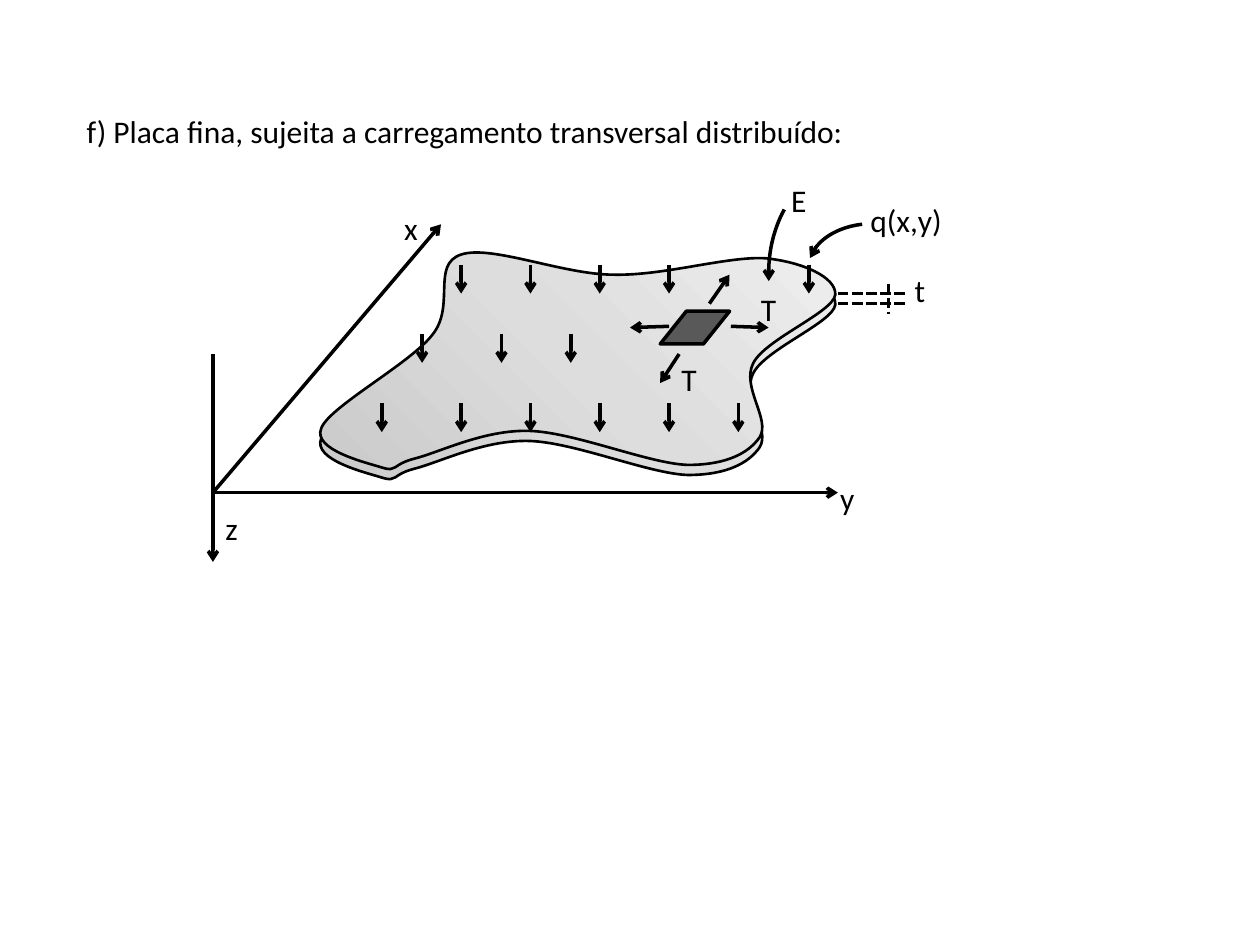
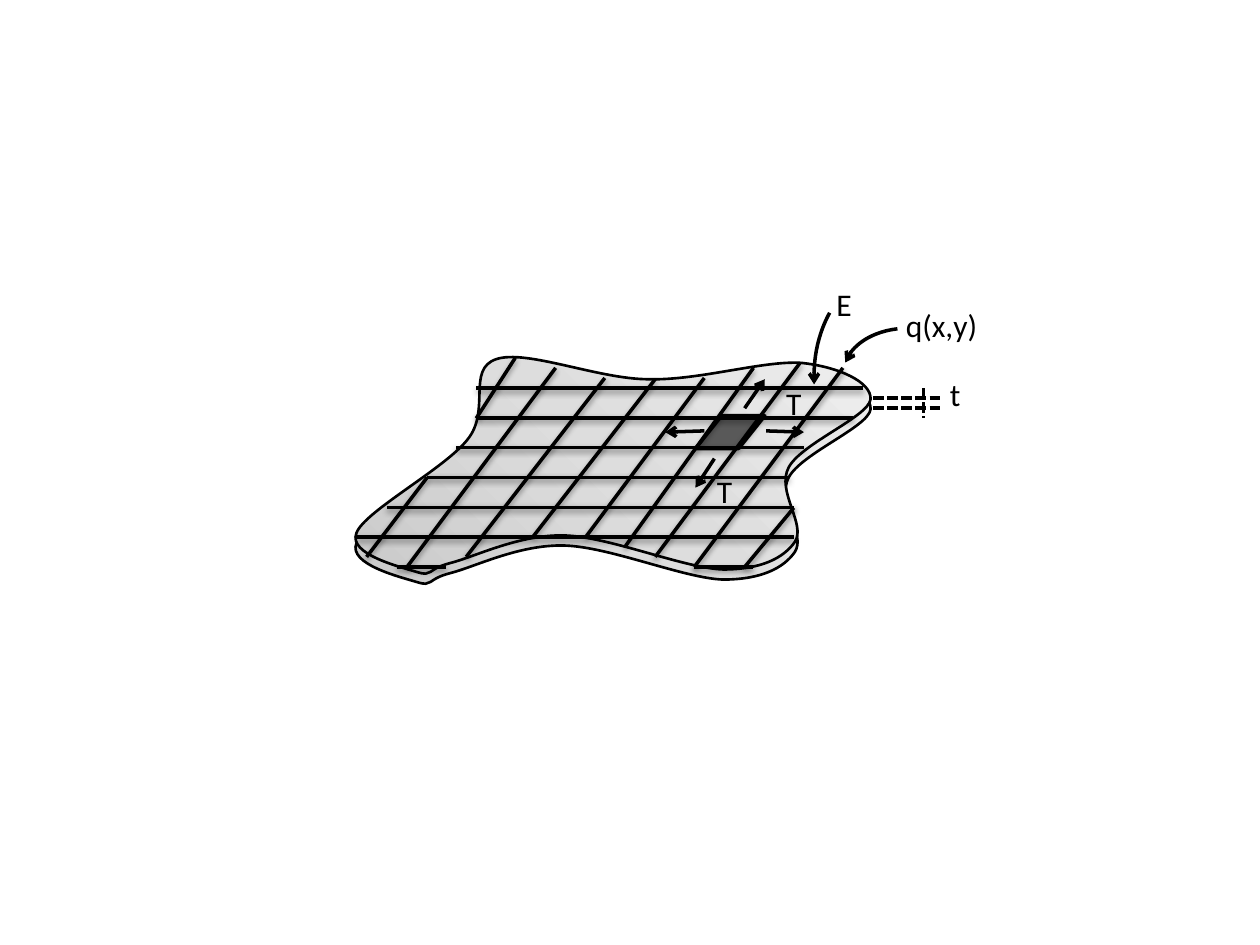
import copy

import lxml.etree
import pptx
import pptx.dml.color
import pptx.enum.dml
import pptx.enum.shapes
import pptx.enum.text
import pptx.oxml.ns
import pptx.util

BLACK = pptx.dml.color.RGBColor(0x00, 0x00, 0x00)
DARK_GREY = pptx.dml.color.RGBColor(0x59, 0x59, 0x59)
PLATE_GREYS = (
    pptx.dml.color.RGBColor(0xCA, 0xCA, 0xCA),
    pptx.dml.color.RGBColor(0xDD, 0xDD, 0xDD),
    pptx.dml.color.RGBColor(0xEE, 0xEE, 0xEE),
)
FONT = "Calibri"
SHAPES = pptx.enum.shapes.MSO_SHAPE
PLATE_THICKNESS = 0.08
LOAD_LENGTH = 0.23
LOAD_GAP = 0.55

PLATE_START = (3.29, 3.64)
PLATE_CURVES = (
    ((3.49, 3.59), (3.84, 3.41), (4.2, 3.42)),
    ((4.56, 3.43), (5.15, 3.68), (5.46, 3.69)),
    ((5.76, 3.69), (5.94, 3.6), (6.03, 3.47)),
    ((6.12, 3.33), (5.88, 3.07), (5.98, 2.88)),
    ((6.08, 2.69), (6.61, 2.48), (6.63, 2.34)),
    ((6.64, 2.2), (6.37, 2.08), (6.08, 2.05)),
    ((5.78, 2.03), (5.27, 2.19), (4.87, 2.18)),
    ((4.47, 2.18), (3.9, 1.94), (3.66, 2.02)),
    ((3.42, 2.1), (3.62, 2.43), (3.43, 2.66)),
    ((3.25, 2.89), (2.61, 3.23), (2.55, 3.4)),
    ((2.48, 3.57), (2.9, 3.67), (3.03, 3.71)),
    ((3.16, 3.75), (3.1, 3.69), (3.29, 3.64)),
)
TENSION_ARROWS = (
    ((5.39, 2.81), (5.24, 3.04)),
    ((5.63, 2.41), (5.79, 2.18)),
    ((5.31, 2.59), (5, 2.6)),
    ((5.8, 2.59), (6.1, 2.6)),
)
THICKNESS_MARKS = (
    ((6.65, 2.33), (7.2, 2.33)),
    ((6.65, 2.41), (7.2, 2.41)),
    ((7.05, 2.25), (7.05, 2.49)),
)
AXES = (
    ((1.69, 2.81), (1.69, 4.46)),
    ((1.69, 3.91), (3.5, 1.78)),
    ((1.69, 3.91), (6.65, 3.91)),
)
SLANTED_GRID = (
    ((4.96, 4.34), (5.98, 2.92)),
    ((5.2, 4.42), (6.35, 2.88)),
    ((5.51, 4.5), (6.69, 2.92)),
    ((5.91, 4.5), (6.3, 4.03)),
    ((4.65, 4.26), (5.59, 3)),
    ((4.23, 4.26), (5.2, 3.01)),
    ((3.7, 4.42), (4.8, 3)),
    ((3.23, 4.5), (4.41, 2.92)),
    ((3.78, 3.32), (4.09, 2.84)),
    ((2.91, 4.42), (3.39, 3.79)),
)
GRID_TOP, GRID_BOTTOM = 3.08, 4.5
GRID_ROWS = (
    [(3.78, 6.85)],
    [(3.78, 6.77)],
    [(3.62, 6.38)],
    [(3.39, 6.26)],
    [(3.07, 6.3)],
    [(2.83, 6.3)],
    [(3.15, 3.54), (5.51, 5.98)],
)


def inches(value):
    return pptx.util.Cm(value * 2.54)


def shifted(point, shift):
    return point[0] + shift[0], point[1] + shift[1]


def add_child(parent, tag, **attributes):
    child = lxml.etree.SubElement(parent, pptx.oxml.ns.qn(tag))
    for name, value in attributes.items():
        child.set(name, str(value))
    return child


def style_line(shape, width=2, arrow=False, dashed=False):
    shape.line.color.rgb = BLACK
    shape.line.width = pptx.util.Pt(width)
    if dashed:
        shape.line.dash_style = pptx.enum.dml.MSO_LINE.SQUARE_DOT
    if arrow:
        add_child(shape.line._get_or_add_ln(), "a:tailEnd", type="arrow")


def add_label(page, text, position, width=0.32):
    box = page.shapes.add_textbox(*map(inches, (*position, width, 0.4)))
    frame = box.text_frame
    frame.text = text
    frame.word_wrap = False
    frame.auto_size = pptx.enum.text.MSO_AUTO_SIZE.SHAPE_TO_FIT_TEXT
    font = frame.paragraphs[0].runs[0].font
    font.name = FONT
    font.size = pptx.util.Pt(18)
    font.color.rgb = BLACK


def add_line(page, start, end, arrow=False, dashed=False, shadow=False):
    line = page.shapes.add_connector(
        pptx.enum.shapes.MSO_CONNECTOR.STRAIGHT, *map(inches, (*start, *end))
    )
    style_line(line, arrow=arrow, dashed=dashed)
    effects = add_child(line._element.spPr, "a:effectLst")
    if shadow:
        outer = add_child(effects, "a:outerShdw", blurRad=40000, dist=20000,
                          dir=5400000, rotWithShape=0)
        color = add_child(outer, "a:srgbClr", val=BLACK)
        add_child(color, "a:alpha", val=38000)


def add_shape(page, kind, position, size, adjustments):
    shape = page.shapes.add_shape(kind, *map(inches, (*position, *size)))
    shape.shadow.inherit = False
    for index, value in enumerate(adjustments):
        shape.adjustments[index] = value
    return shape


def add_curved_arrow(page, position, size, adjustments):
    arc = add_shape(page, SHAPES.ARC, position, size, adjustments)
    arc.rotation = 270
    arc._element.spPr.find(pptx.oxml.ns.qn("a:xfrm")).set("flipV", "1")
    arc.fill.background()
    style_line(arc, arrow=True)


def curve_segments(freeform):
    segments = list(freeform._element.iter(pptx.oxml.ns.qn("a:lnTo")))
    for first in range(0, len(segments), 3):
        curve = lxml.etree.Element(pptx.oxml.ns.qn("a:cubicBezTo"))
        segments[first].addprevious(curve)
        for segment in segments[first:first + 3]:
            curve.append(segment[0])
            segment.getparent().remove(segment)


def add_plate_face(page, shift):
    start = shifted(PLATE_START, shift)
    builder = page.shapes.build_freeform(*map(inches, start), scale=1.0)
    outline = [shifted(point, shift) for curve in PLATE_CURVES for point in curve]
    builder.add_line_segments([tuple(map(inches, point)) for point in outline])
    face = builder.convert_to_shape()
    curve_segments(face)
    face.shadow.inherit = False
    face.fill.gradient()
    face.fill.gradient_angle = 45
    stops = face._element.spPr.find(".//" + pptx.oxml.ns.qn("a:gsLst"))
    stops.insert(1, copy.deepcopy(stops[0]))
    for stop, grey, position in zip(face.fill.gradient_stops, PLATE_GREYS, (0, 0.5, 1)):
        stop.color.rgb = grey
        stop.position = position
    style_line(face, width=1.5)


def add_plate(page, shift, e_shift, tension_labels):
    add_plate_face(page, shifted(shift, (0, PLATE_THICKNESS)))
    add_plate_face(page, shift)
    element = add_shape(page, SHAPES.PARALLELOGRAM, shifted((5.24, 2.47), shift),
                        (0.55, 0.26), [0.797])
    element.fill.solid()
    element.fill.fore_color.rgb = DARK_GREY
    style_line(element)
    for start, end in TENSION_ARROWS:
        add_line(page, shifted(start, shift), shifted(end, shift), arrow=True)
    for position in tension_labels:
        add_label(page, "T", position)
    for start, end in THICKNESS_MARKS:
        add_line(page, shifted(start, shift), shifted(end, shift), dashed=True)
    add_label(page, "t", shifted((7.16, 2.1), shift), 0.29)
    add_label(page, "q(x,y)", shifted((6.81, 1.55), shift), 0.78)
    add_curved_arrow(page, shifted((6.57, 1.62), shift), (0.71, 1.02), [7.959, 48.364])
    add_label(page, "E", shifted((6.18, 1.39), e_shift))
    add_curved_arrow(page, shifted((5.82, 1.67), e_shift), (1.58, 1.02), [22.007, 57.429])


def add_axes(page):
    for start, end in AXES:
        add_line(page, start, end, arrow=True)
    add_label(page, "x", (3.11, 1.61), 0.31)
    add_label(page, "y", (6.57, 3.75))
    add_label(page, "z", (1.69, 3.99), 0.3)


def add_loads(page):
    columns = [3.66 + LOAD_GAP * index for index in range(5)]
    rows = (
        (2.1, columns[:4] + [6.42]),
        (2.65, [3.35, 3.98, 4.53]),
        (3.2, [3.03] + columns),
    )
    for top, lefts in rows:
        for left in lefts:
            add_line(page, (left, top), (left, top + LOAD_LENGTH), arrow=True)


def add_grid(page):
    for start, end in SLANTED_GRID:
        add_line(page, start, end, shadow=True)
    gap = (GRID_BOTTOM - GRID_TOP) / (len(GRID_ROWS) - 1)
    for index, spans in enumerate(GRID_ROWS):
        height = GRID_TOP + gap * index
        for left, right in spans:
            add_line(page, (left, height), (right, height), shadow=True)


def main():
    deck = pptx.Presentation()
    deck.slide_width = inches(10)
    deck.slide_height = inches(7.5)
    blank = deck.slide_layouts[6]

    page = deck.slides.add_slide(blank)
    add_label(page, "f) Placa fina, sujeita a carregamento transversal distribuído:",
              (0.59, 0.84), 6.27)
    add_axes(page)
    add_plate(page, (0, 0), (0, 0), [(5.94, 2.25), (5.31, 2.81)])
    add_loads(page)

    page = deck.slides.add_slide(blank)
    add_plate(page, (0.28, 0.83), (0.36, 0.82), [(6.14, 3), (5.59, 3.7)])
    add_grid(page)

    deck.save("out.pptx")


if __name__ == "__main__":
    main()
